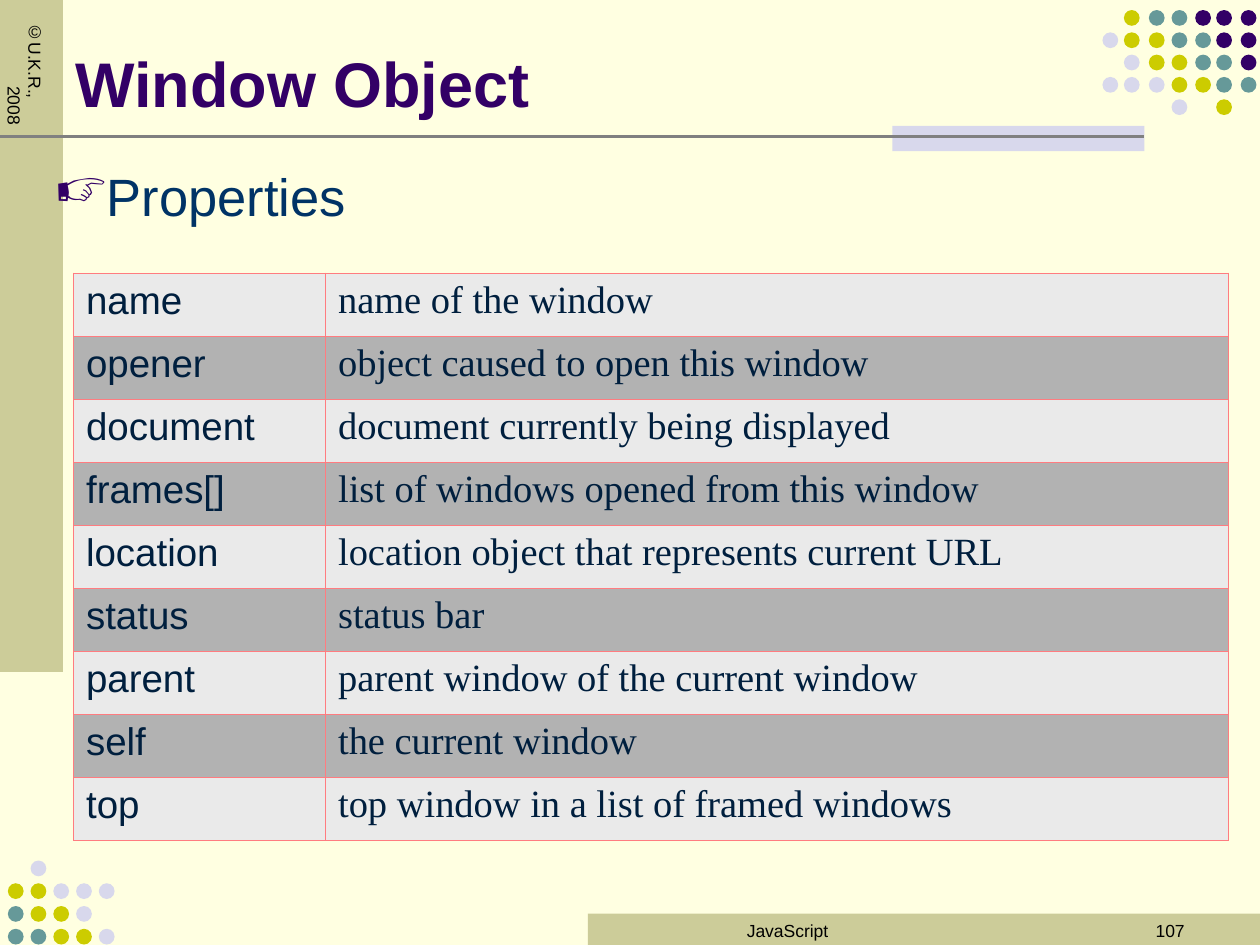
from pptx import Presentation
from pptx.dml.color import RGBColor as RGB
from pptx.enum.shapes import MSO_CONNECTOR as Con, MSO_SHAPE as Kind
from pptx.enum.text import MSO_ANCHOR as Anchor, PP_ALIGN as Align
from pptx.oxml import parse_xml
from pptx.oxml.ns import nsdecls
from pptx.util import Pt

ROWS = [
    ("name", "name of the window"),
    ("opener", "object caused to open this window"),
    ("document", "document currently being displayed"),
    ("frames[]", "list of windows opened from this window"),
    ("location", "location object that represents current URL"),
    ("status", "status bar"),
    ("parent", "parent window of the current window"),
    ("self", "the current window"),
    ("top", "top window in a list of framed windows"),
]
FONTS = ("Arial", "Times New Roman")
BANDS = ("EAEAEA", "B2B2B2")
COLS = (144, 516)
ROW = 36

DOTS = {"P": "330066", "T": "669999", "Y": "CCCC00", "L": "D8D8EC"}
DOT = 9
TOP = [".YTTPPP", "LYYTTPP", ".LYYTTP", "LLLYYTT", "...L.Y."]
TOP_X = (630, 642.25, 656.5, 669.5, 683, 695, 709)
TOP_Y, TOP_GAP = 5.75, 12.75
LOW = [".L...", "YYLLL", "TYYL.", "TTYYL"]
LOW_X = [4.5 + 13 * i for i in range(5)]
LOW_Y, LOW_GAP = 491.75, 13

deck = Presentation()
deck.slide_width, deck.slide_height = Pt(720), Pt(540)
slide = deck.slides.add_slide(deck.slide_layouts[6])
shapes = slide.shapes


def color(code):
    return RGB.from_string(code)


def paint(item, code):
    item.fill.solid()
    item.fill.fore_color.rgb = color(code)


def xml(tag, body="", attrs=""):
    return parse_xml(f"<a:{tag} {nsdecls('a')} {attrs}>{body}</a:{tag}>")


def fill_xml(code):
    return f'<a:solidFill><a:srgbClr val="{code}"/></a:solidFill>'


def block(kind, x, y, w, h, code):
    item = shapes.add_shape(kind, Pt(x), Pt(y), Pt(w), Pt(h))
    item.shadow.inherit = False
    item.line.fill.background()
    paint(item, code)


def dots(rows, xs, y, gap):
    for i, row in enumerate(rows):
        for x, key in zip(xs, row):
            if key in DOTS:
                block(Kind.OVAL, x, y + i * gap, DOT, DOT, DOTS[key])


def write(frame, text, size=10, font="Arial", ink="000000", bold=False,
          align=Align.LEFT, hang=0, mark=None):
    frame.word_wrap = True
    par = frame.paragraphs[0]
    par.alignment = align
    props = par._p.get_or_add_pPr()
    if hang:
        props.set("marL", str(Pt(hang)))
        props.set("indent", str(-Pt(hang)))
    if mark:
        props.append(xml("buClr", f'<a:srgbClr val="{DOTS["P"]}"/>'))
        props.append(xml("buChar", attrs=f'char="{mark}"'))
    run = par.add_run()
    run.text = text
    run.font.size, run.font.name, run.font.bold = Pt(size), font, bold
    run.font.color.rgb = color(ink)


def label(text, x, y, w, h, **style):
    frame = shapes.add_textbox(Pt(x), Pt(y), Pt(w), Pt(h)).text_frame
    write(frame, text, **style)
    return frame


def border(cell):
    props = cell._tc.get_or_add_tcPr()
    for i, side in enumerate(("lnL", "lnR", "lnT", "lnB")):
        props.insert(i, xml(side, fill_xml("FF7C80"), f'w="{Pt(0.45)}"'))


paint(slide.background, "FFFFE1")
block(Kind.RECTANGLE, 336, 522, 384, 18, "CCCC99")
dots(TOP, TOP_X, TOP_Y, TOP_GAP)
block(Kind.RECTANGLE, 0, 0, 36, 384, "CCCC99")
block(Kind.RECTANGLE, 510, 72, 144, 14.4, "D8D8EC")

rule = shapes.add_connector(Con.STRAIGHT, Pt(0), Pt(78), Pt(654), Pt(78))
rule.line.color.rgb = color("808080")
rule.line.width = Pt(1.5)
rule._element.spPr.append(xml("effectLst"))

side = label("©U.K.R., 2008", 18, 6, 12, 78, hang=36)
side.margin_left = side.margin_right = Pt(3.6)
side.margin_top = side.margin_bottom = Pt(7.2)
side._txBody.bodyPr.set("vert", "eaVert")

dots(LOW, LOW_X, LOW_Y, LOW_GAP)
label("JavaScript", 336, 522, 228, 36, align=Align.CENTER)
label("107", 516, 522, 168, 36, align=Align.RIGHT)
title = label("Window Object", 36, 9, 594, 63, size=36, ink="330066", bold=True)
title.vertical_anchor = Anchor.BOTTOM

grid = shapes.add_table(len(ROWS), len(COLS), Pt(42), Pt(156),
                        Pt(sum(COLS)), Pt(ROW * len(ROWS))).table
for col, width in zip(grid.columns, COLS):
    col.width = Pt(width)
for r, row in enumerate(ROWS):
    for c, text in enumerate(row):
        cell = grid.cell(r, c)
        paint(cell, BANDS[r % 2])
        border(cell)
        write(cell.text_frame, text, size=22, font=FONTS[c], ink="001F3E")

label("Properties", 24, 90, 672, 372, size=30, ink="003366", hang=27, mark="☞")

deck.save("out.pptx")
